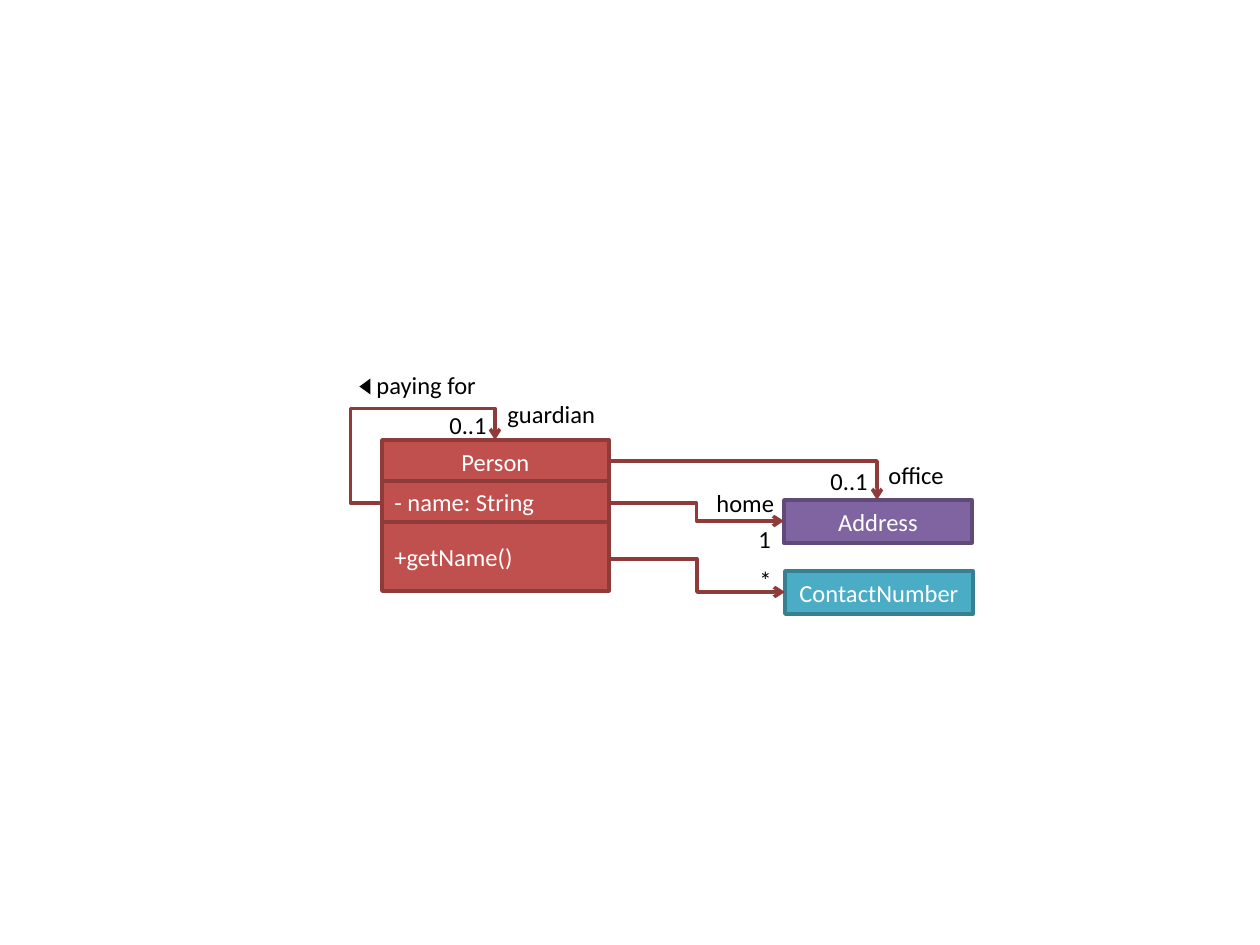
from lxml import etree
from pptx import Presentation
from pptx import util as u
from pptx.dml.color import RGBColor
from pptx.enum import shapes, text
from pptx.oxml.ns import qn

PX_PER_INCH = 126
COLORS = {
    "person": "C0504D", "person_line": "8E3B39",
    "address": "8064A2", "address_line": "5F4A78",
    "contact": "4BACC6", "contact_line": "377F92",
    "black": "000000", "white": "FFFFFF",
}
LINE_WIDTH = 2
ROW_H = 43


def px(n):
    return u.Inches(n / PX_PER_INCH)


def rgb(name):
    return RGBColor.from_string(COLORS[name])


def write(tf, content, color="black", align=text.PP_ALIGN.LEFT,
          anchor=text.MSO_ANCHOR.TOP, size=14):
    tf.word_wrap = True
    tf.vertical_anchor = anchor
    p = tf.paragraphs[0]
    p.alignment = align
    r = p.add_run()
    r.text = content
    r.font.name = "Calibri"
    r.font.size = u.Pt(size)
    r.font.color.rgb = rgb(color)


def add_class_box(parent, content, x, y, w, h, color,
                  align=text.PP_ALIGN.CENTER):
    sp = parent.add_shape(shapes.MSO_SHAPE.RECTANGLE, px(x), px(y), px(w), px(h))
    sp.shadow.inherit = False
    sp.fill.solid()
    sp.fill.fore_color.rgb = rgb(color)
    sp.line.color.rgb = rgb(color + "_line")
    sp.line.width = u.Pt(LINE_WIDTH)
    write(sp.text_frame, content, color="white", align=align,
          anchor=text.MSO_ANCHOR.MIDDLE)


def add_label(parent, content, x, y, w):
    sp = parent.add_textbox(px(x), px(y), px(w), px(ROW_H))
    write(sp.text_frame, content)
    sp.text_frame.auto_size = text.MSO_AUTO_SIZE.SHAPE_TO_FIT_TEXT


def add_direction_mark(parent, x, y, w, h):
    """Small solid triangle that points left."""
    sp = parent.add_shape(shapes.MSO_SHAPE.ISOSCELES_TRIANGLE,
                          px(x), px(y), px(w), px(h))
    sp.rotation = 270
    sp.shadow.inherit = False
    sp.fill.solid()
    sp.fill.fore_color.rgb = rgb("black")
    sp.line.fill.background()


def add_association(parent, start, end, bends=3, adjust=(), half_turn=False):
    """Elbow arrow; adjust places its bends as fractions of its size."""
    cx = parent.add_connector(shapes.MSO_CONNECTOR.ELBOW,
                              *(px(n) for n in (*start, *end)))
    cx.line.color.rgb = rgb("person_line")
    cx.line.width = u.Pt(LINE_WIDTH)
    etree.SubElement(cx.line._get_or_add_ln(), qn("a:tailEnd"), type="arrow")
    sp_pr = cx._element.spPr
    etree.SubElement(sp_pr, qn("a:effectLst"))
    if half_turn:
        sp_pr.find(qn("a:xfrm")).set("rot", "10800000")
    geom = sp_pr.find(qn("a:prstGeom"))
    geom.set("prst", f"bentConnector{bends}")
    guides = geom.find(qn("a:avLst"))
    for i, value in enumerate(adjust, 1):
        etree.SubElement(guides, qn("a:gd"), name=f"adj{i}",
                         fmla=f"val {round(value * 100000)}")


def main():
    prs = Presentation()
    prs.slide_width, prs.slide_height = u.Inches(10), u.Inches(7.5)
    s = prs.slides.add_slide(prs.slide_layouts[6])
    canvas = s.shapes

    left, top, width = 382, 440, 227
    right = left + width
    name_mid, attribute_mid, method_mid = 461, 503, 559

    # The half turn makes the loop leave the left side and enter the top.
    add_association(canvas, (495, top), (left, attribute_mid), bends=4,
                    adjust=(-0.28, 1.5), half_turn=True)

    left_align = text.PP_ALIGN.LEFT
    add_class_box(canvas, "Person", left, top, width, ROW_H, "person")
    add_class_box(canvas, "- name: String", left, 481, width, 41, "person", left_align)
    add_class_box(canvas, "+getName()", left, 522, width, 69, "person", left_align)
    add_class_box(canvas, "Address", 784, 500, 188, ROW_H, "address")
    add_class_box(canvas, "ContactNumber", 785, 571, 188, ROW_H, "contact")

    add_association(canvas, (right, attribute_mid), (784, 521))
    add_association(canvas, (right, name_mid), (877, 500), bends=2)
    add_association(canvas, (right, method_mid), (785, 592))

    role = canvas.add_group_shape().shapes
    add_label(role, "paying for", 364, 364, 131)
    add_direction_mark(role, 357, 381, 16, 11)

    for content, x, y, w in (
        ("guardian", 495, 393, 131),
        ("0..1", 437, 404, 64),
        ("office", 876, 454, 96),
        ("0..1", 818, 460, 70),
        ("home", 704, 482, 96),
        ("1", 746, 518, 30),
        ("*", 747, 559, 44),
    ):
        add_label(canvas, content, x, y, w)

    prs.save("out.pptx")


if __name__ == "__main__":
    main()
